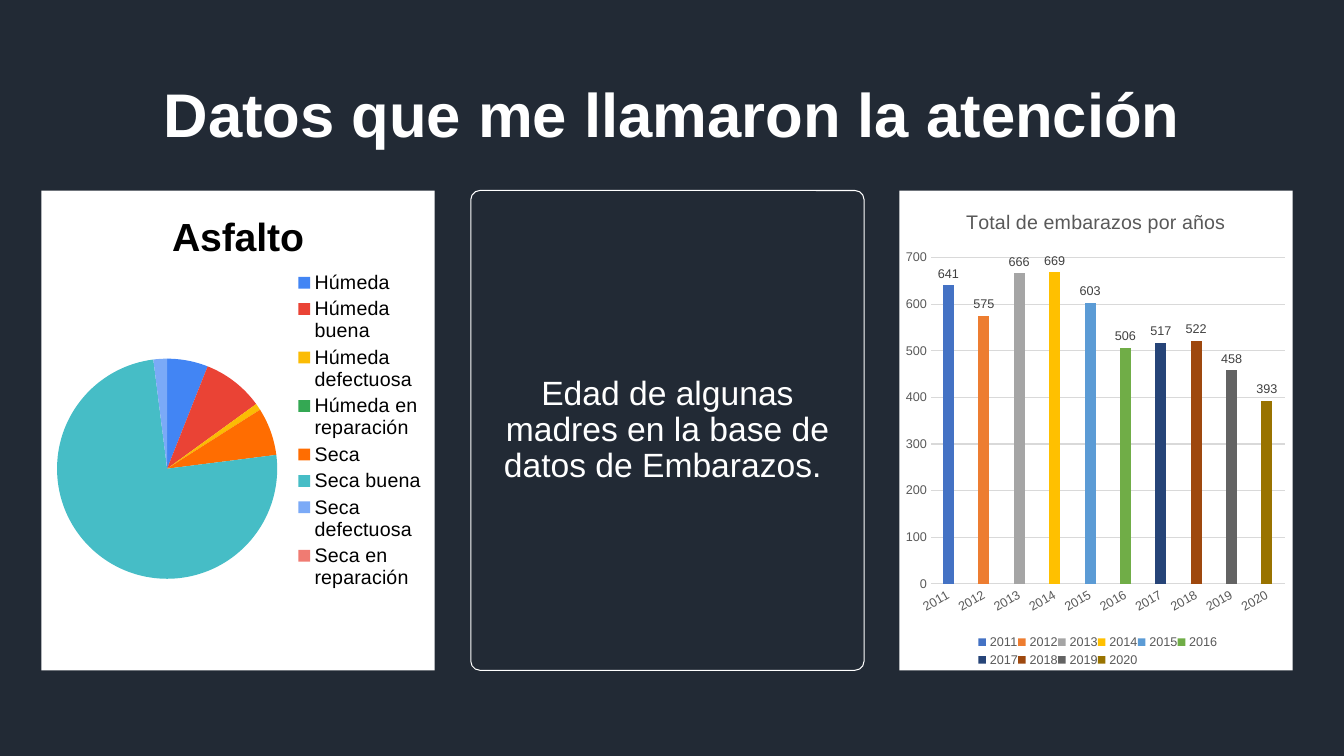
import pptx
import pptx.chart.data
import pptx.dml.color
import pptx.enum.chart
import pptx.enum.shapes
import pptx.enum.text
import pptx.oxml
import pptx.oxml.ns
import pptx.util

Inches, Pt = pptx.util.Inches, pptx.util.Pt
RGBColor = pptx.dml.color.RGBColor
XL = pptx.enum.chart
NIGHT = RGBColor(0x22, 0x2A, 0x35)
WHITE = RGBColor(0xFF, 0xFF, 0xFF)
BLACK = RGBColor(0, 0, 0)
GRAY = RGBColor(0x59, 0x59, 0x59)
DARK_GRAY = RGBColor(0x40, 0x40, 0x40)
LIGHT_GRAY = RGBColor(0xD9, 0xD9, 0xD9)
CARD_TOP, CARD_WIDTH, CARD_HEIGHT = Inches(1.89), Inches(3.9), Inches(4.76)

CHARTS = [
    {"kind": XL.XL_CHART_TYPE.PIE, "left": 0.41, "title": "Asfalto",
     "title_font": {"size": Pt(28), "bold": True, "color": BLACK},
     "legend_font": {"size": Pt(14), "color": BLACK},
     "legend_side": XL.XL_LEGEND_POSITION.RIGHT,
     "plot_area": (0.04, 0.35, 0.56, 0.46), "legend_area": (0.64, 0.16, 0.34, 0.68),
     "points": [("Húmeda", 6, "4285F4"), ("Húmeda buena", 9, "EA4335"),
                ("Húmeda defectuosa", 1, "FBBC04"), ("Húmeda en reparación", 0, "34A853"),
                ("Seca", 7, "FF6D01"), ("Seca buena", 75, "46BDC6"),
                ("Seca defectuosa", 2, "7BAAF7"), ("Seca en reparación", 0, "F07B72")]},
    {"kind": XL.XL_CHART_TYPE.COLUMN_CLUSTERED, "left": 8.92,
     "title": "Total de embarazos por años",
     "title_font": {"size": Pt(14), "bold": False, "color": GRAY},
     "legend_font": {"size": Pt(9), "color": GRAY},
     "legend_side": XL.XL_LEGEND_POSITION.BOTTOM,
     "plot_area": (0.08, 0.14, 0.9, 0.68), "legend_area": (0.2, 0.92, 0.61, 0.08),
     "points": [("2011", 641, "4472C4"), ("2012", 575, "ED7D31"), ("2013", 666, "A5A5A5"),
                ("2014", 669, "FFC000"), ("2015", 603, "5B9BD5"), ("2016", 506, "70AD47"),
                ("2017", 517, "264478"), ("2018", 522, "9E480E"), ("2019", 458, "636363"),
                ("2020", 393, "997300")]},
]


def set_font(font, values):
    for name, value in {"name": "Arial", **values}.items():
        if name == "color":
            font.fill.solid()
            font.fill.fore_color.rgb = value
        else:
            setattr(font, name, value)


def set_layout(element, index, area, inner=""):
    for old in element.findall(pptx.oxml.ns.qn("c:layout")):
        element.remove(old)
    sizes = "".join(f'<c:{tag} val="{value}"/>' for tag, value in zip("xywh", area))
    element.insert(index, pptx.oxml.parse_xml(
        f'<c:layout {pptx.oxml.ns.nsdecls("c")}><c:manualLayout>{inner}'
        f'<c:xMode val="edge"/><c:yMode val="edge"/>{sizes}</c:manualLayout></c:layout>'))


deck = pptx.Presentation()
deck.slide_width, deck.slide_height = Inches(13.33), Inches(7.5)
page = deck.slides.add_slide(deck.slide_layouts[6])
page.background.fill.solid()
page.background.fill.fore_color.rgb = NIGHT

# Heading and middle card
heading = page.shapes.add_textbox(Inches(0.92), Inches(0.44), Inches(11.5), Inches(1.45))
card = page.shapes.add_shape(pptx.enum.shapes.MSO_SHAPE.ROUNDED_RECTANGLE,
                             Inches(4.67), CARD_TOP, CARD_WIDTH, CARD_HEIGHT)
card.adjustments[0] = 0.023
card.shadow.inherit = False
card.fill.background()
card.line.color.rgb = WHITE
card.line.width = Pt(0.75)

for box, text, size, bold, before in [
        (heading, "Datos que me llamaron la atención", 44, True, 0),
        (card, "Edad de algunas madres en la base de datos de Embarazos. ", 24, False, 10)]:
    box.text_frame.word_wrap = True
    box.text_frame.vertical_anchor = pptx.enum.text.MSO_ANCHOR.MIDDLE
    para = box.text_frame.paragraphs[0]
    para.alignment = pptx.enum.text.PP_ALIGN.CENTER
    para.line_spacing = 0.9
    para.space_before = Pt(before)
    span = para.add_run()
    span.text = text
    set_font(span.font, {"size": Pt(size), "bold": bold, "color": WHITE})

# Side charts
for item in CHARTS:
    data = pptx.chart.data.CategoryChartData()
    data.categories = [label for label, _, _ in item["points"]]
    data.add_series("Series 1", [value for _, value, _ in item["points"]])
    chart = page.shapes.add_chart(item["kind"], Inches(item["left"]), CARD_TOP,
                                  CARD_WIDTH, CARD_HEIGHT, data).chart
    set_font(chart.font, {"size": Pt(10), "color": BLACK})

    chart.has_title = True
    chart.chart_title.include_in_layout = False
    para = chart.chart_title.text_frame.paragraphs[0]
    span = para.add_run()
    span.text = item["title"]
    set_font(span.font, item["title_font"])

    chart.has_legend = True
    chart.legend.position = item["legend_side"]
    chart.legend.include_in_layout = False
    set_font(chart.legend.font, item["legend_font"])

    plot = chart.plots[0]
    plot.vary_by_categories = True
    for index, (_, _, color) in enumerate(item["points"]):
        fill = plot.series[0].points[index].format.fill
        fill.solid()
        fill.fore_color.rgb = RGBColor.from_string(color)

    # White chart background and placement of plot and legend
    chart_part = chart._chartSpace.chart
    chart_part.addnext(pptx.oxml.parse_xml(
        f'<c:spPr {pptx.oxml.ns.nsdecls("c", "a")}><a:solidFill><a:srgbClr val="{WHITE}"/>'
        '</a:solidFill><a:ln><a:noFill/></a:ln></c:spPr>'))
    set_layout(chart_part.plotArea, 0, item["plot_area"], '<c:layoutTarget val="inner"/>')
    set_layout(chart.legend._element, 1, item["legend_area"])

# Column details, on the last chart
plot.gap_width, plot.overlap = 219, -27
plot.has_data_labels = True
plot.data_labels.show_value = True
plot.data_labels.position = XL.XL_LABEL_POSITION.OUTSIDE_END
set_font(plot.data_labels.font, {"size": Pt(9), "color": DARK_GRAY})
years, counts = chart.category_axis, chart.value_axis
for axis in (years, counts):
    axis.major_tick_mark = axis.minor_tick_mark = XL.XL_TICK_MARK.NONE
    set_font(axis.tick_labels.font, {"size": Pt(9), "color": GRAY})
years._element.txPr.bodyPr.set("rot", "-1800000")
counts.minimum_scale, counts.maximum_scale, counts.major_unit = 0, 700, 100
counts.format.line.fill.background()
for line in (years.format.line, counts.major_gridlines.format.line):
    line.color.rgb = LIGHT_GRAY
    line.width = Pt(0.75)

deck.save("out.pptx")
